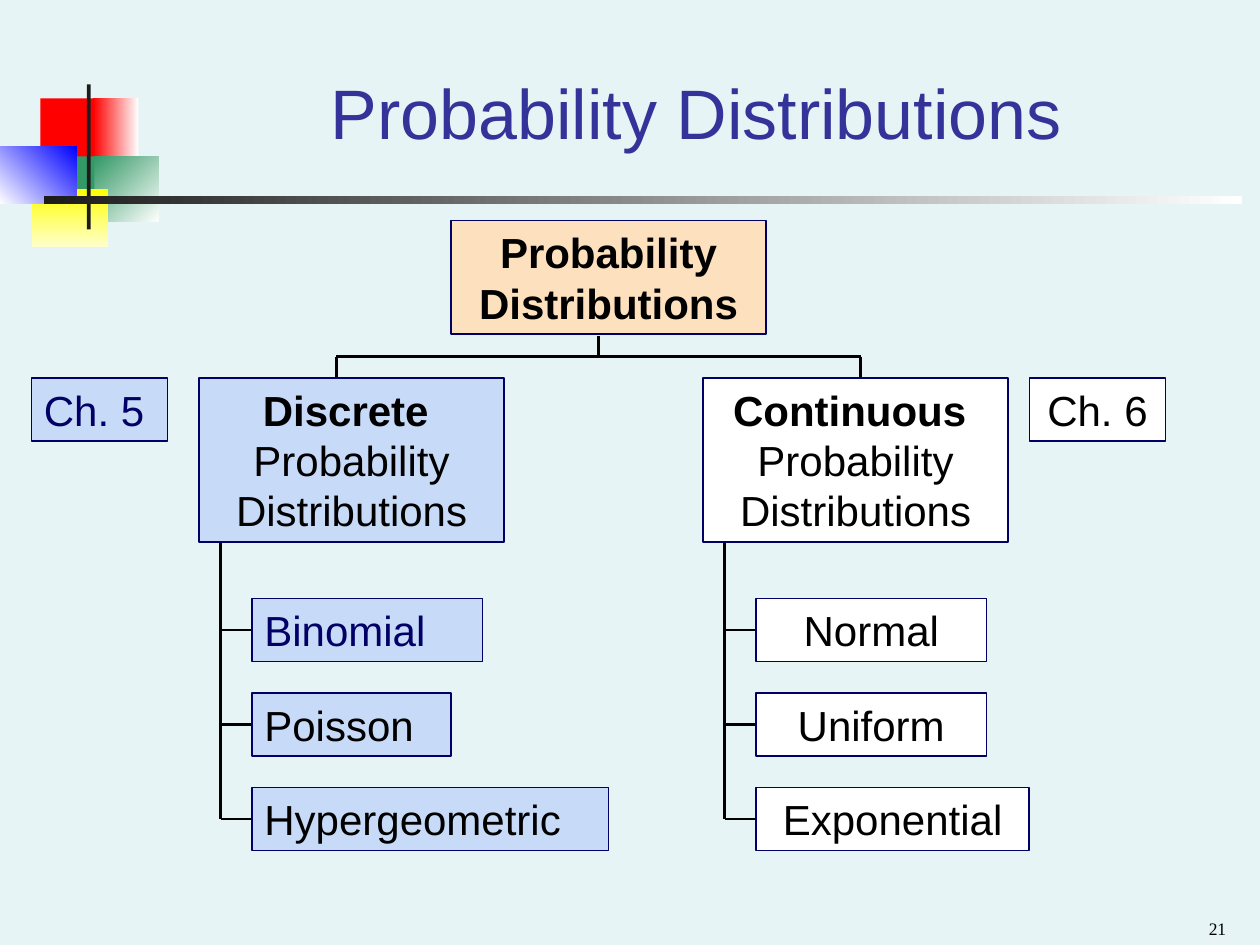
from lxml.etree import SubElement
from pptx import Presentation
from pptx.dml.color import RGBColor
from pptx.enum.shapes import MSO_CONNECTOR, MSO_SHAPE
from pptx.enum.text import MSO_ANCHOR, PP_ALIGN
from pptx.oxml.ns import qn
from pptx.util import Inches, Pt

BLUE, WHITE, PEACH = "C7DAF7", "FFFFFF", "FDE0BD"
NAVY, BLACK = "000066", "000000"
LEFT, MID, RIGHT = PP_ALIGN.LEFT, PP_ALIGN.CENTER, PP_ALIGN.RIGHT


def color(code):
    """Turn a hex string into a colour."""
    return RGBColor.from_string(code)


def write(frame, lines, align, size=24, font="Arial", ink=BLACK):
    """Write lines given as (text, bold) pairs, one paragraph each."""
    frame.word_wrap = True
    for i, (text, bold) in enumerate(lines):
        para = frame.paragraphs[0] if i == 0 else frame.add_paragraph()
        para.alignment = align
        run = para.add_run()
        run.text = text
        run.font.size = Pt(size)
        run.font.name = font
        run.font.bold = bold
        run.font.color.rgb = color(ink)


def rect(slide, x, y, w, h):
    """Add a plain rectangle without shadow."""
    shape = slide.shapes.add_shape(
        MSO_SHAPE.RECTANGLE, Inches(x), Inches(y), Inches(w), Inches(h))
    shape.shadow.inherit = False
    return shape


def card(slide, x, y, w, h, fill, lines, align=MID, ink=BLACK):
    """Add a framed box with text."""
    shape = rect(slide, x, y, w, h)
    shape.fill.solid()
    shape.fill.fore_color.rgb = color(fill)
    shape.line.color.rgb = color(NAVY)
    shape.line.width = Pt(1)
    shape.text_frame.vertical_anchor = MSO_ANCHOR.TOP
    write(shape.text_frame, lines, align, ink=ink)


def label(slide, x, y, w, h, text, align, anchor, **style):
    """Add a text box with one line."""
    box = slide.shapes.add_textbox(Inches(x), Inches(y), Inches(w), Inches(h))
    box.text_frame.vertical_anchor = anchor
    write(box.text_frame, [(text, False)], align, **style)


def link(slide, x1, y1, x2, y2):
    """Add a black line between two points."""
    line = slide.shapes.add_connector(
        MSO_CONNECTOR.STRAIGHT, Inches(x1), Inches(y1), Inches(x2), Inches(y2))
    line.line.color.rgb = color(BLACK)
    line.line.width = Pt(1.5)
    SubElement(line._element.spPr, qn("a:effectLst"))


def tile(slide, x, y, w, h, first, last=None, angle=0):
    """Add a solid block, or a gradient one if a second colour is given."""
    shape = rect(slide, x, y, w, h)
    shape.line.fill.background()
    if last is None:
        shape.fill.solid()
        shape.fill.fore_color.rgb = color(first)
        return
    shape.fill.gradient()
    shape.fill.gradient_angle = angle
    for stop, code in zip(shape.fill.gradient_stops, (first, last)):
        stop.color.rgb = color(code)


def motif(slide, x, y):
    """Draw the coloured blocks and the two bars."""
    tile(slide, x + 0.32, y + 0.11, 0.48, 0.52, "FF0000")
    tile(slide, x + 0.74, y + 0.11, 0.36, 0.52, WHITE, "FF0000", 180)
    tile(slide, x + 0.75, y + 0.57, 0.51, 0.52, WHITE, "339966", 135)
    tile(slide, x + 0.43, y + 0.57, 0.32, 0.52, "339966")
    tile(slide, x + 0.25, y + 0.83, 0.61, 0.46, "FFFF00", "FFFFCC", 270)
    tile(slide, x, y + 0.49, 0.61, 0.46, "0000FF", WHITE, 225)
    tile(slide, x + 0.69, y, 0.03, 1.15, "1C1C1C")
    tile(slide, x + 0.35, y + 0.89, 9.51, 0.06, WHITE, "1C1C1C", 180)


def root(slide, x, y, w, h, drops):
    """Draw the top box and the lines down to each branch."""
    bar = y + 1.08
    link(slide, x + 1.17, y + 0.92, x + 1.17, bar)
    link(slide, drops[0], bar, drops[-1], bar)
    for drop in drops:
        link(slide, drop, bar, drop, y + 1.33)
    card(slide, x, y, w, h, PEACH, [("Probability Distributions", True)])


def branch(slide, x, y, fill, name, leaves):
    """Draw a family box with its leaves hung on a trunk."""
    trunk, gap = x + 0.17, 0.75
    mids = [y + 2 + gap * i for i in range(len(leaves))]
    link(slide, trunk, y + 1.17, trunk, mids[-1])
    for mid, (text, width, align, ink) in zip(mids, leaves):
        link(slide, x + 0.5, mid, trunk, mid)
        card(slide, x + 0.42, mid - 0.25, width, 0.5, fill,
             [(text, False)], align, ink)
    card(slide, x, y, 2.42, 1.3, fill,
         [(name + " ", True), ("Probability Distributions", False)])


def main():
    """Build the slide and save it."""
    deck = Presentation()
    deck.slide_width, deck.slide_height = Inches(10), Inches(7.5)
    slide = deck.slides.add_slide(deck.slide_layouts[6])
    slide.background.fill.solid()
    slide.background.fill.fore_color.rgb = color("E7F4F5")

    motif(slide, 0, 0.67)
    label(slide, 1.67, 0.5, 7.71, 0.76, "Probability Distributions",
          MID, MSO_ANCHOR.TOP, size=40, ink="333399")
    root(slide, 3.58, 1.75, 2.5, 0.9, (2.67, 6.83))
    branch(slide, 1.58, 3, BLUE, "Discrete", [
        ("Binomial", 1.83, LEFT, NAVY),
        ("Poisson", 1.58, LEFT, BLACK),
        ("Hypergeometric", 2.83, LEFT, BLACK)])
    branch(slide, 5.58, 3, WHITE, "Continuous", [
        ("Normal", 1.83, MID, BLACK),
        ("Uniform", 1.83, MID, BLACK),
        ("Exponential", 2.17, MID, BLACK)])
    card(slide, 0.25, 3, 1.08, 0.5, BLUE, [("Ch. 5", False)], LEFT, NAVY)
    card(slide, 8.17, 3, 1.08, 0.5, WHITE, [("Ch. 6", False)])
    label(slide, 7.5, 7.15, 2.33, 0.35, "21", RIGHT, MSO_ANCHOR.BOTTOM,
          size=10, font="Times New Roman")
    deck.save("out.pptx")


if __name__ == "__main__":
    main()
